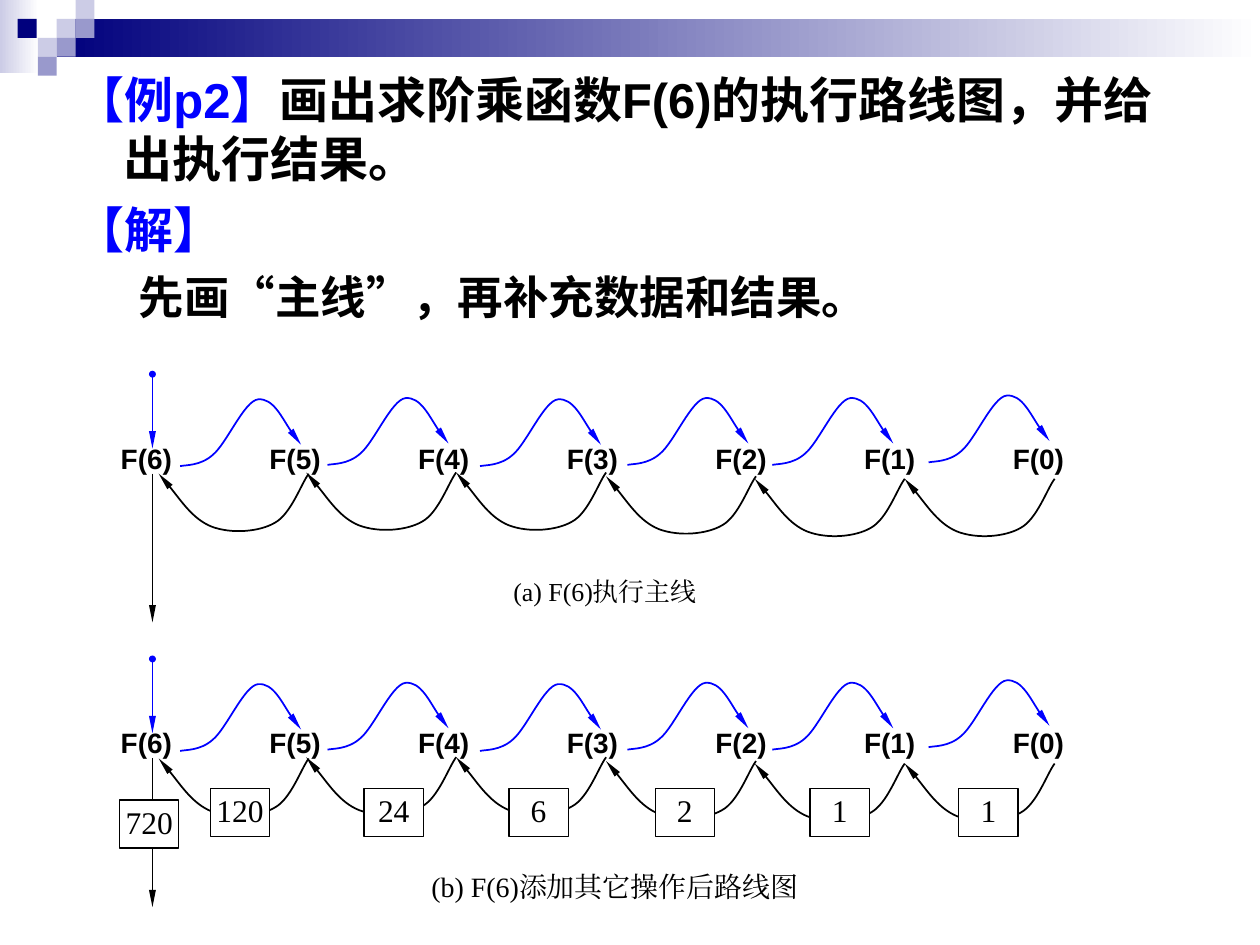
from lxml import etree
from pptx import Presentation, util as u
from pptx.dml import color
from pptx.enum import shapes, text
from pptx.oxml import ns

BLUE, BLACK, WHITE = "0000FF", "000000", "FFFFFF"
NAVY, PALE, MID = "00007D", "CCCCE6", "9999CC"
SANS, SERIF, CJK = "Arial", "Times New Roman", "Noto Sans CJK SC"
FORWARD = [(0, 0), (.04, -.01), (.16, 0), (.26, -.09), (.37, -.18), (.51, -.52),
           (.62, -.53), (.74, -.54), (.89, -.24), (.96, -.17)]
BACK = [(0, 0), (.07, .07), (.27, .36), (.42, .42), (.58, .48), (.8, .46),
        (.92, .39), (1.05, .32), (1.13, .08), (1.19, 0)]
CALLS = [(1.43, 3.7), (2.6, 3.69), (3.81, 3.7), (4.98, 3.69), (6.13, 3.69), (7.37, 3.67)]
RETURNS = [(1.26, 3.76), (2.43, 3.75), (3.62, 3.75), (4.81, 3.78), (5.99, 3.8), (7.18, 3.8)]
RESULTS = [(1.67, "120"), (2.89, "24"), (4.04, "6"), (5.2, "2"), (6.43, "1"), (7.61, "1")]
ROW_GAP = 2.26


def rgb(value):
    return color.RGBColor.from_string(value)


def add_text(p, words, font=SANS, size=16, fill=BLACK, bold=False):
    r = p.add_run()
    r.text = words
    r.font.name, r.font.size, r.font.bold = font, u.Pt(size), bold
    r.font.color.rgb = rgb(fill)
    ea = etree.SubElement(r.font._element, ns.qn("a:ea"))
    ea.set("typeface", font)
    return r


class Builder:
    def __init__(self, s):
        self.s = s

    def body(self, paragraphs, at):
        sp = self.s.placeholders[1]
        sp.left, sp.top, sp.width, sp.height = [u.Inches(v) for v in at]
        tf = sp.text_frame
        tf.auto_size = text.MSO_AUTO_SIZE.NONE
        for i, (margin, indent, before, runs) in enumerate(paragraphs):
            p = tf.paragraphs[0] if i == 0 else tf.add_paragraph()
            pPr = p._p.get_or_add_pPr()
            pPr.set("marL", str(u.Inches(margin)))
            pPr.set("indent", str(u.Inches(indent)))
            etree.SubElement(pPr, ns.qn("a:buNone"))
            p.space_before = u.Pt(before)
            for words, style in runs:
                add_text(p, words, bold=True, **style)

    def rect(self, x, y, w, h, fill, end=None, line=None):
        sp = self.s.shapes.add_shape(shapes.MSO_SHAPE.RECTANGLE, *map(u.Inches, (x, y, w, h)))
        sp.shadow.inherit = False
        if end:
            sp.fill.gradient()
            sp.fill.gradient_angle = 0
            for stop, value in zip(sp.fill.gradient_stops, (fill, end)):
                stop.color.rgb = rgb(value)
        else:
            sp.fill.solid()
            sp.fill.fore_color.rgb = rgb(fill)
        if line:
            sp.line.color.rgb = rgb(line)
            sp.line.width = u.Pt(0.75)
        else:
            sp.line.fill.background()
        return sp

    def label(self, sp, words, align, margins=(.1, .05, .1, .05), spacing=None, **style):
        tf = sp.text_frame
        tf.word_wrap = True
        tf.margin_left, tf.margin_top, tf.margin_right, tf.margin_bottom = map(u.Inches, margins)
        p = tf.paragraphs[0]
        p.alignment = align
        if spacing:
            p.line_spacing = spacing
        add_text(p, words, **style)

    def node(self, x, y, words):
        sp = self.rect(x, y, .71, .41, WHITE)
        sp.text_frame.vertical_anchor = text.MSO_ANCHOR.MIDDLE
        self.label(sp, words, text.PP_ALIGN.JUSTIFY, bold=True)

    def result(self, x, y, words):
        sp = self.rect(x, y, .47, .38, WHITE, line=BLACK)
        sp.text_frame.vertical_anchor = text.MSO_ANCHOR.MIDDLE
        self.label(sp, words, text.PP_ALIGN.CENTER, (.02, .01, .02, .05), font=SERIF, size=18)

    def caption(self, x, y, w, words, **style):
        sp = self.s.shapes.add_textbox(*map(u.Inches, (x, y, w, .49)))
        self.label(sp, words, text.PP_ALIGN.CENTER, font=SERIF, **style)

    def stroke(self, sp, fill, width, head=None, tail=None):
        sp.line.color.rgb = rgb(fill)
        sp.line.width = u.Pt(width)
        ln = sp.line._get_or_add_ln()
        for tag, kind in (("a:headEnd", head), ("a:tailEnd", tail)):
            if kind:
                end = etree.SubElement(ln, ns.qn(tag))
                end.set("type", kind)
                end.set("w", "sm")
                end.set("len", "sm" if kind == "oval" else "lg")

    def line(self, x1, y1, x2, y2, fill, **ends):
        sp = self.s.shapes.add_connector(shapes.MSO_CONNECTOR.STRAIGHT,
                                         *map(u.Inches, (x1, y1, x2, y2)))
        self.stroke(sp, fill, 0.75, **ends)
        etree.SubElement(sp._element.spPr, ns.qn("a:effectLst"))

    def curve(self, x, y, offsets, fill, **ends):
        points = [(u.Inches(x + dx), u.Inches(y + dy)) for dx, dy in offsets]
        fb = self.s.shapes.build_freeform(*points[0])
        fb.add_line_segments(points[1:], close=False)
        sp = fb.convert_to_shape()
        sp.shadow.inherit = False
        sp.fill.background()
        segments = list(sp._element.iter(ns.qn("a:lnTo")))
        for i in range(0, len(segments), 3):
            parent = segments[i].getparent()
            bezier = etree.SubElement(parent, ns.qn("a:cubicBezTo"))
            for segment in segments[i:i + 3]:
                bezier.append(segment[0])
                parent.remove(segment)
        self.stroke(sp, fill, 1, **ends)

    def route(self, dy):
        for i in range(7):
            self.node(.86 + 1.18 * i, 3.43 + dy, f"F({6 - i})")
        for x, y in CALLS:
            self.curve(x, y + dy, FORWARD, BLUE, tail="triangle")
        for x, y in RETURNS:
            self.curve(x, y + dy, BACK, BLACK, head="triangle")
        self.line(1.21, 2.97 + dy, 1.21, 3.56 + dy, BLUE, head="oval", tail="triangle")
        self.line(1.21, 3.76 + dy, 1.21, 4.94 + dy, BLACK, tail="triangle")


def main():
    prs = Presentation()
    prs.slide_width, prs.slide_height = u.Inches(10), u.Inches(7.5)
    s = prs.slides.add_slide(prs.slide_layouts[1])
    title = s.shapes.title._element
    title.getparent().remove(title)
    b = Builder(s)

    b.rect(0, 0, .31, .58, PALE, end=WHITE)
    b.rect(.45, .15, 9.55, .3, NAVY, end=WHITE)
    for x, y, fill in ((.45, .15, PALE), (.6, 0, PALE), (.6, .15, MID), (.3, .3, PALE),
                       (.14, .15, NAVY), (.45, .3, MID), (.3, .45, MID)):
        b.rect(x, y, .15, .15, fill)

    head, mark = {"size": 28}, {"size": 28, "fill": BLUE}
    sub, quote = {"size": 26}, {"size": 26, "font": CJK}
    b.body([
        (.38, -.38, 0, [("【例p2】", mark),
                        ("画出求阶乘函数F(6)的执行路线图，并给出执行结果。", head)]),
        (.38, -.38, 7, [("【解】", mark)]),
        (.81, -.31, 6.5, [("先画", sub), ("“", quote), ("主线", sub), ("”", quote),
                          ("，再补充数据和结果。", sub)]),
    ], (.5, .5, 9, 7))

    b.caption(3.89, 4.55, 1.82, "(a) F(6)执行主线", size=14.8, spacing=.9)
    b.caption(3.23, 6.85, 3.3, "(b) F(6)添加其它操作后路线图")
    for dy in (0, ROW_GAP):
        b.route(dy)
    b.result(.95, 6.35, "720")
    for x, words in RESULTS:
        b.result(x, 6.26, words)
    prs.save("out.pptx")


if __name__ == "__main__":
    main()
